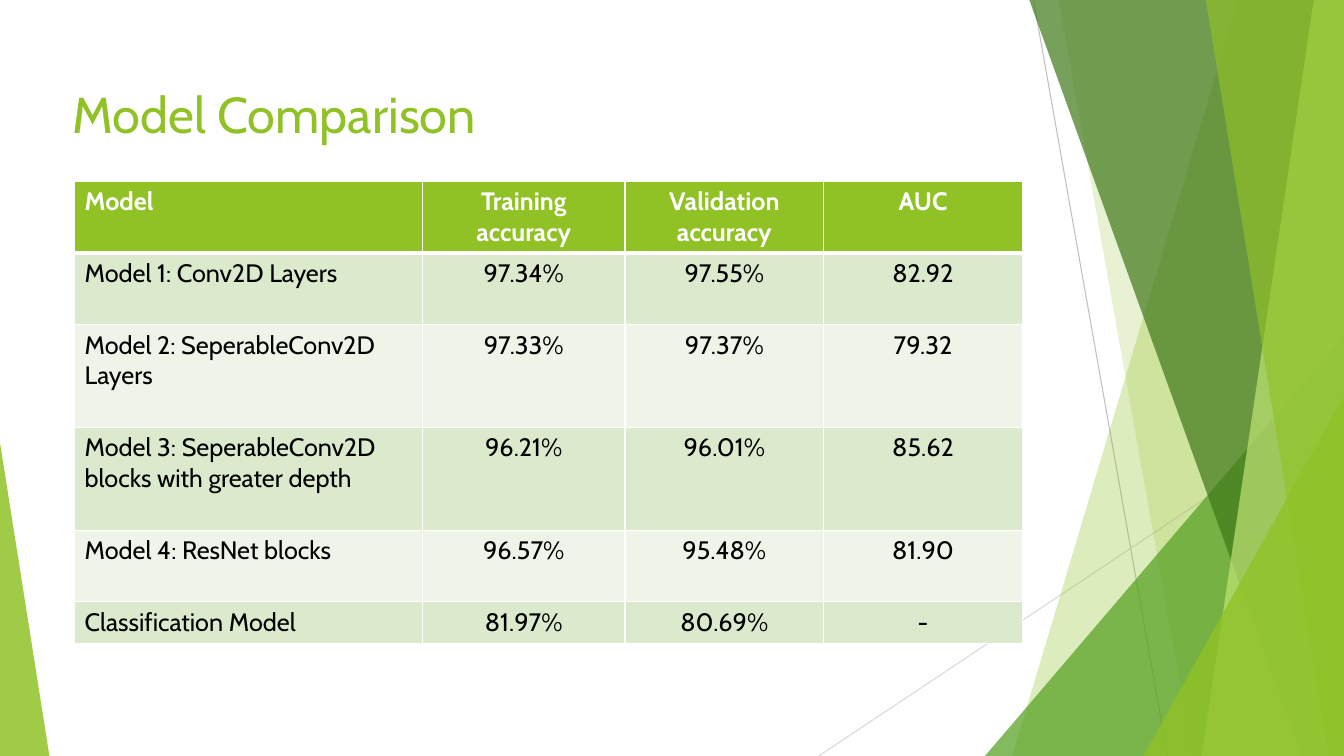
from lxml import etree
from pptx import Presentation, util as u
from pptx.dml.color import RGBColor
from pptx.enum import shapes, text
from pptx.oxml import ns

FONT = "Cabin"
WHITE = RGBColor(0xFF, 0xFF, 0xFF)
BLACK = RGBColor(0x00, 0x00, 0x00)
LIME = RGBColor(0x90, 0xC2, 0x26)
PALE_LIME = RGBColor(0xC0, 0xE4, 0x74)
LEAF = RGBColor(0x54, 0xA0, 0x21)
FOREST = RGBColor(0x3F, 0x78, 0x19)
GREY = RGBColor(0xBF, 0xBF, 0xBF)
LIGHT_GREY = RGBColor(0xD9, 0xD9, 0xD9)
BANDS = (RGBColor(0xEE, 0xF4, 0xE8), RGBColor(0xDB, 0xE9, 0xCD))

WIDTH, HEIGHT = u.Inches(13.33), u.Inches(7.5)

# Column widths and row heights are percentages of the slide
COLUMNS = (25.88, 15.08, 14.78, 14.78)
ROWS = (9.33, 9.47, 13.6, 13.6, 9.47, 5.47)
RESULTS = (
    ("Model", "Training accuracy", "Validation accuracy", "AUC"),
    ("Model 1: Conv2D Layers", "97.34%", "97.55%", "82.92"),
    ("Model 2: SeperableConv2D Layers", "97.33%", "97.37%", "79.32"),
    ("Model 3: SeperableConv2D blocks with greater depth",
     "96.21%", "96.01%", "85.62"),
    ("Model 4: ResNet blocks", "96.57%", "95.48%", "81.90"),
    ("Classification Model", "81.97%", "80.69%", "-"),
)


def across(percent):
    return round(WIDTH * percent / 100)


def down(percent):
    return round(HEIGHT * percent / 100)


def area(left, top, width, height):
    return across(left), down(top), across(width), down(height)


def add_ray(page, start, end, color):
    ray = page.shapes.add_connector(
        shapes.MSO_CONNECTOR.STRAIGHT,
        across(start[0]), down(start[1]), across(end[0]), down(end[1]))
    ray.line.color.rgb = color
    ray.line.width = u.Pt(0.75)
    etree.SubElement(ray._element.spPr, ns.qn("a:effectLst"))


def paint(shape, color, opacity):
    """Fill a shape with a see-through colour, without outline or shadow."""
    shape.shadow.inherit = False
    shape.line.fill.background()
    shape.fill.solid()
    shape.fill.fore_color.rgb = color
    tint = shape._element.spPr.find(".//" + ns.qn("a:srgbClr"))
    etree.SubElement(tint, ns.qn("a:alpha"), val=str(opacity * 1000))


def add_facet(page, top_left, bottom_left, color, opacity):
    """Draw a slanted panel that reaches the right edge of the slide."""
    builder = page.shapes.build_freeform(across(top_left), 0)
    builder.add_line_segments(
        [(WIDTH, 0), (WIDTH, HEIGHT), (across(bottom_left), HEIGHT)])
    paint(builder.convert_to_shape(), color, opacity)


def add_corner(page, left, top, width, apex, color, opacity):
    """Draw a triangle that stands on the bottom edge of the slide."""
    corner = page.shapes.add_shape(
        shapes.MSO_SHAPE.ISOSCELES_TRIANGLE,
        *area(left, top, width, 100 - top))
    corner.adjustments[0] = apex
    paint(corner, color, opacity)


def add_decoration(page):
    add_ray(page, (76.9, 0), (86.87, 100), GREY)
    add_ray(page, (100, 53.73), (60.92, 100), LIGHT_GREY)
    add_facet(page, 92.12, 75.32, LIME, 30)
    add_facet(page, 78.77, 88.75, LIME, 20)
    add_corner(page, 73.29, 44.4, 26.71, 1, LEAF, 72)
    add_facet(page, 76.59, 96.85, FOREST, 70)
    add_facet(page, 97.75, 89.42, PALE_LIME, 70)
    add_facet(page, 89.72, 98.87, LIME, 65)
    add_corner(page, 85.07, 52.4, 14.93, 1, LIME, 80)
    add_corner(page, 0, 58.53, 3.68, 0, LIME, 85)


def format_title(page):
    title = page.shapes.title
    title.left, title.top, title.width, title.height = area(
        4.65, 10.27, 70.5, 19.2)
    frame = title.text_frame
    frame.text = "Model Comparison"
    frame.auto_size = text.MSO_AUTO_SIZE.NONE
    frame.vertical_anchor = text.MSO_ANCHOR.TOP
    para = frame.paragraphs[0]
    para.alignment = text.PP_ALIGN.LEFT
    para.font.name = FONT
    para.font.size = u.Pt(36)
    para.font.color.rgb = LIME


def add_borders(cell, top, bottom):
    """Give a cell white borders; top and bottom are widths in points."""
    properties = cell._tc.get_or_add_tcPr()
    for side, points in (("L", 1), ("R", 1), ("T", top), ("B", bottom)):
        border = etree.SubElement(
            properties, ns.qn("a:ln" + side), w=str(u.Pt(points)))
        fill = etree.SubElement(border, ns.qn("a:solidFill"))
        etree.SubElement(fill, ns.qn("a:srgbClr"), val=str(WHITE))


def format_cell(cell, wording, row, column):
    header = row == 0
    add_borders(cell, 3 if row == 1 else 1, 3 if header else 1)
    cell.fill.solid()
    cell.fill.fore_color.rgb = LIME if header else BANDS[row % 2]
    cell.text = wording
    para = cell.text_frame.paragraphs[0]
    para.alignment = text.PP_ALIGN.CENTER if column else text.PP_ALIGN.LEFT
    para.font.name = FONT
    para.font.size = u.Pt(18)
    para.font.bold = header
    para.font.color.rgb = WHITE if header else BLACK


def add_results(page):
    table = page.shapes.add_table(
        len(ROWS), len(COLUMNS),
        *area(5.55, 24, sum(COLUMNS), sum(ROWS))).table
    for column, width in zip(table.columns, COLUMNS):
        column.width = across(width)
    for row, height in zip(table.rows, ROWS):
        row.height = down(height)
    for row, result in enumerate(RESULTS):
        for column, wording in enumerate(result):
            format_cell(table.cell(row, column), wording, row, column)


def main():
    deck = Presentation()
    deck.slide_width, deck.slide_height = WIDTH, HEIGHT
    page = deck.slides.add_slide(deck.slide_layouts.get_by_name("Title Only"))
    add_decoration(page)
    add_results(page)
    format_title(page)
    deck.save("out.pptx")


if __name__ == "__main__":
    main()
